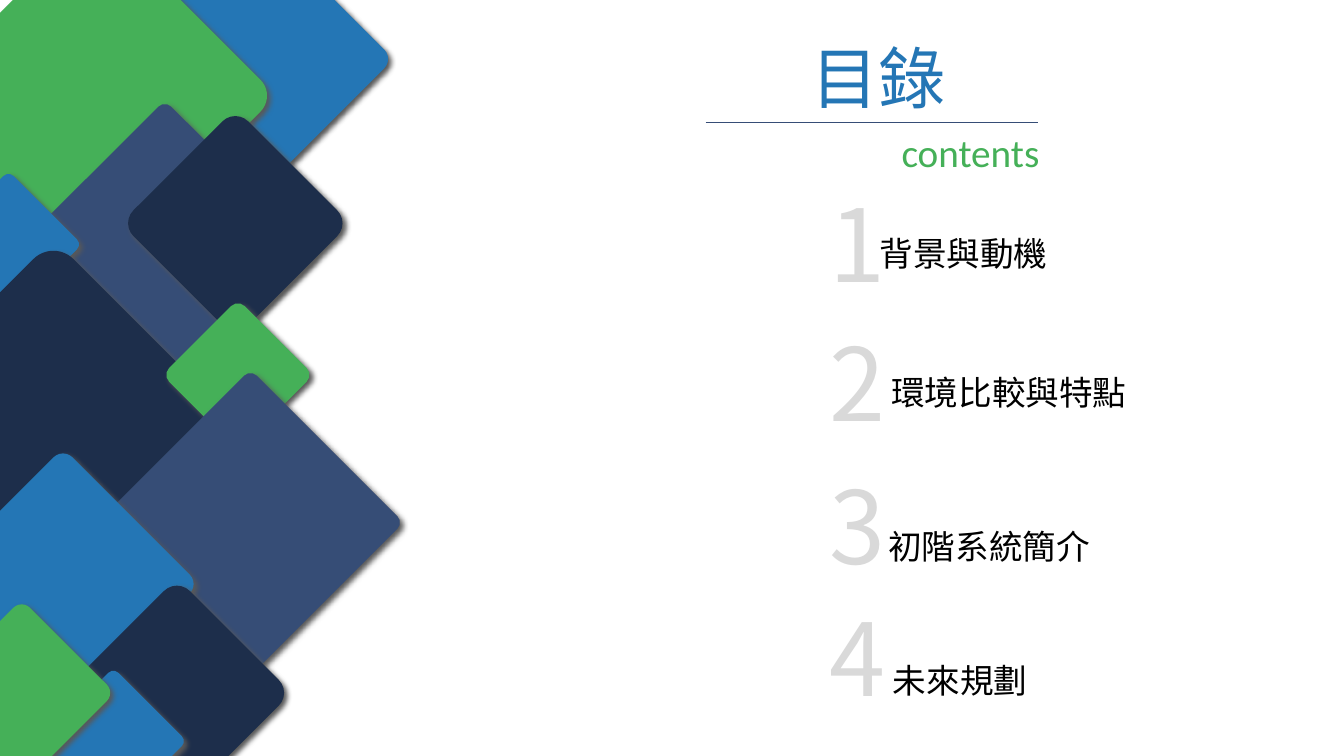
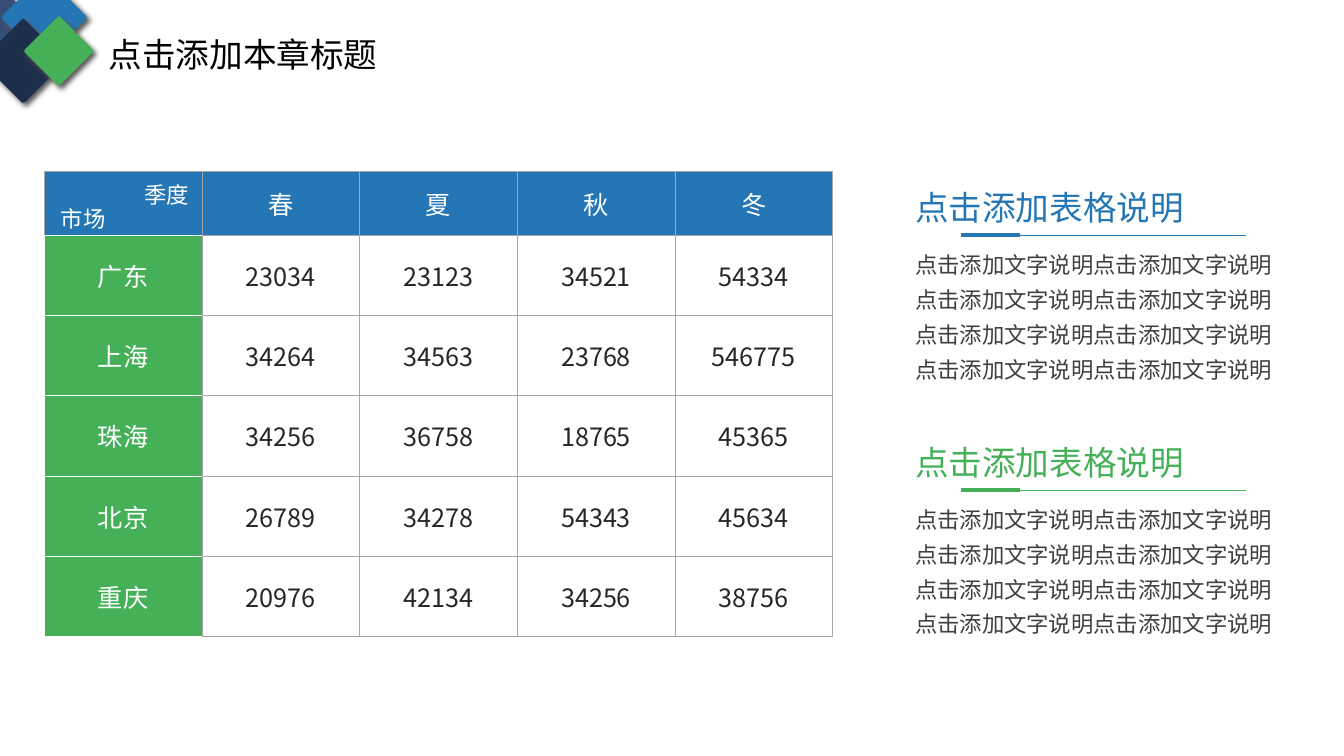
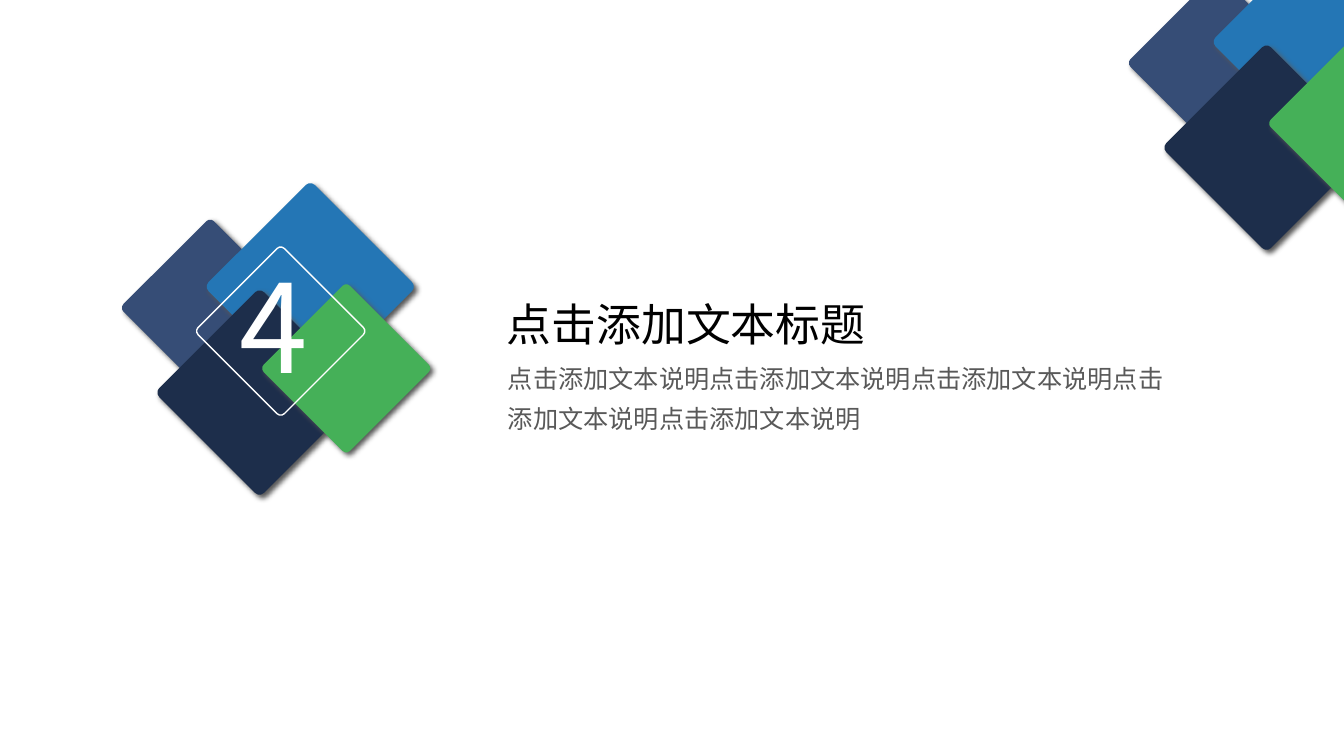
from lxml.etree import SubElement
from pptx import Presentation
from pptx.dml.color import RGBColor
from pptx.enum.shapes import MSO_CONNECTOR, MSO_SHAPE
from pptx.enum.text import MSO_ANCHOR, MSO_AUTO_SIZE, PP_ALIGN
from pptx.oxml import parse_xml
from pptx.oxml.ns import nsdecls, qn
from pptx.util import Inches, Pt

# Shared look
C = {"blue": "2476B5", "green": "45B058", "steel": "364D76", "navy": "1D2E4B",
     "white": "FFFFFF", "black": "000000", "number": "D9D9D9", "grid": "A6A6A6",
     "value": "262626", "body": "404040", "note": "595959"}
CJK = "Noto Sans CJK SC"
L, M, R = PP_ALIGN.LEFT, PP_ALIGN.CENTER, PP_ALIGN.RIGHT
ROUNDING = {"blue": 0.069, "green": 0.089, "steel": 0.042, "navy": 0.112}
SHARP = 0.042
SHADOW = (f'<a:effectLst {nsdecls("a")}><a:outerShdw blurRad="{Pt(4)}" '
          f'dist="{Pt(3)}" dir="2700000" algn="tl" rotWithShape="0">'
          f'<a:srgbClr val="{C["note"]}"/></a:outerShdw></a:effectLst>')

# Four overlapping diamonds: column, row, size, colour
CLUSTER = [(0, 0, 3.81, "steel"), (2.65, -0.96, 4.47, "blue"),
           (1.17, 2.22, 4.41, "navy"), (4.14, 1.89, 3.63, "green")]

prs = Presentation()
prs.slide_width, prs.slide_height = Inches(13.33), Inches(7.5)
U = prs.slide_width / 40  # square grid cell: 40 columns by 22.5 rows


def add_text(target, text, size, color, align=L, box=None, spacing=None, font=CJK):
    """Write into a table cell, or into a new text box when a box is given."""
    if box:
        tf = target.shapes.add_textbox(*(int(U * v) for v in box)).text_frame
        tf.word_wrap = True
        tf.auto_size = MSO_AUTO_SIZE.SHAPE_TO_FIT_TEXT
    else:
        tf = target.text_frame
    p = tf.paragraphs[0]
    for name, value in {"alignment": align, "line_spacing": spacing}.items():
        setattr(p, name, value)
    r = p.add_run()
    r.text = text
    for name, value in {"size": Pt(size), "name": font}.items():
        setattr(r.font, name, value)
    r.font.color.rgb = RGBColor.from_string(C[color])
    SubElement(r._r.get_or_add_rPr(), qn("a:ea"), typeface=font)


def add_diamond(s, x, y, size, color, rounding):
    """Filled diamond with a shadow, or a white outline when color is None."""
    sp = s.shapes.add_shape(MSO_SHAPE.ROUNDED_RECTANGLE,
                            *(int(U * v) for v in (x, y, size, size)))
    sp.rotation = 315
    sp.adjustments[0] = rounding
    if color:
        sp.fill.solid()
        sp.fill.fore_color.rgb = RGBColor.from_string(C[color])
        sp.line.fill.background()
        sp._element.spPr.append(parse_xml(SHADOW))
    else:
        sp.fill.background()
        sp.line.color.rgb = RGBColor.from_string(C["white"])
        sp.line.width = Pt(1)
        sp.shadow.inherit = False


contents, data, chapter = [prs.slides.add_slide(prs.slide_layouts[6]) for _ in range(3)]

# Contents: wall of diamonds
for x, y, size, color in [
        (4.8, -1.11, 5.73, "blue"), (-0.9, -0.93, 7.56, "green"),
        (1.68, 4.32, 6.45, "steel"), (4.59, 4.23, 4.83, "navy"),
        (-1.29, 5.73, 3.09, "blue"), (-2.16, 8.67, 7.5, "navy"),
        (5.49, 9.57, 3.18, "green"), (4.23, 12.33, 6.45, "steel"),
        (-0.99, 14.52, 5.73, "blue"), (2.85, 18.21, 4.83, "navy"),
        (-0.93, 19.05, 3.18, "green"), (1.83, 20.52, 3.09, "blue"),
        (-1.32, 18.66, 3.93, "green")]:
    add_diamond(contents, x, y, size, color, ROUNDING[color])

# Contents: heading and numbered entries
add_text(contents, "目錄", 48, "blue", R, (15.72, 0.93, 12.72, 2.73))
add_text(contents, "contents", 28, "green", R, (23.61, 3.66, 7.62, 1.71), font="Calibri")
entries = [("背景與動機", 5.25, 31.47, 6.78), ("環境比較與特點", 9.39, 33.82, 10.92),
           ("初階系統簡介", 13.65, 32.73, 15.51), ("未來規劃", 17.58, 30.87, 19.5)]
for i, (label, number_y, right, label_y) in enumerate(entries, 1):
    add_text(contents, str(i), 72, "number", L, (24.39, number_y, 3.51, 3.93))
    add_text(contents, label, 24, "black", R, (right - 10.65, label_y, 10.65, 1.5))

# Data: table
rows = [("", "春", "夏", "秋", "冬"),
        ("广东", "23034", "23123", "34521", "54334"),
        ("上海", "34264", "34563", "23768", "546775"),
        ("珠海", "34256", "36758", "18765", "45365"),
        ("北京", "26789", "34278", "54343", "45634"),
        ("重庆", "20976", "42134", "34256", "38756")]
table = data.shapes.add_table(len(rows), len(rows[0]), *(
    int(U * v) for v in (1.32, 5.1, 23.46, 13.86))).table
table.first_row = table.horz_banding = False
for i, row in enumerate(rows):
    table.rows[i].height = int(U * (2.39 if i else 1.9))
    for j, text in enumerate(row):
        cell = table.cell(i, j)
        cell.vertical_anchor = MSO_ANCHOR.MIDDLE
        if i and j:
            cell.fill.background()
        else:
            cell.fill.solid()
            cell.fill.fore_color.rgb = RGBColor.from_string(C["green" if i else "blue"])
        if text:
            add_text(cell, text, 18, "value" if i and j else "white", M)
        white_sides = "" if j else "LTB" if i else "B"
        for k, side in enumerate("LRTB"):
            color = C["white" if side in white_sides else "grid"]
            cell._tc.get_or_add_tcPr().insert(k, parse_xml(
                f'<a:ln{side} {nsdecls("a")} w="{Pt(0.5)}"><a:solidFill>'
                f'<a:srgbClr val="{color}"/></a:solidFill></a:ln{side}>'))
add_text(data, "季度", 16, "white", M, (3.84, 5.25, 2.25, 1.11))
add_text(data, "市场", 16, "white", M, (1.35, 5.97, 2.25, 1.11))

# Data: title and the two explanations
add_text(data, "点击添加本章标题", 24, "black", L, (2.94, 0.87, 11.7, 1.53))
rules = [(contents, 21, 30.9, 3.63, "steel", 0.5)]
for y, color in [(5.43, "blue"), (13.02, "green")]:
    add_text(data, "点击添加表格说明", 24, color, L, (26.94, y, 8.79, 1.53))
    add_text(data, "点击添加文字说明" * 8, 16, "body", L,
             (26.94, y + 1.65, 11.37, 4.41), 1.3)
    rules += [(data, 28.59, 30.36, y + 1.56, color, 2.75),
              (data, 30.24, 37.08, y + 1.56, color, 0.25)]

# Rules under the headings
for s, x1, x2, y, color, width in rules:
    line = s.shapes.add_connector(MSO_CONNECTOR.STRAIGHT,
                                  *(int(U * v) for v in (x1, y, x2, y)))
    line.line.color.rgb = RGBColor.from_string(C[color])
    line.line.width = Pt(width)
    SubElement(line._element.spPr, qn("a:effectLst"))

# Diamond clusters: slide, column, row, scale
for s, x, y, scale in [(data, -0.69, 0, 0.41), (chapter, 34.32, -0.03, 1),
                       (chapter, 4.35, 7.26, 1)]:
    for dx, dy, size, color in CLUSTER:
        add_diamond(s, x + dx * scale, y + dy * scale, size * scale, color, SHARP)

# Chapter: number, title and summary
add_text(chapter, "4", 88, "white", M, (6.72, 7.32, 2.82, 4.74))
add_diamond(chapter, 6.54, 8.04, 3.63, None, SHARP)
add_text(chapter, "点击添加文本标题", 32, "black", L, (14.79, 8.67, 13.83, 1.92))
add_text(chapter, "点击添加文本说明" * 5, 18, "note", L, (14.82, 10.41, 20.55, 2.55), 1.3)

prs.save("out.pptx")
